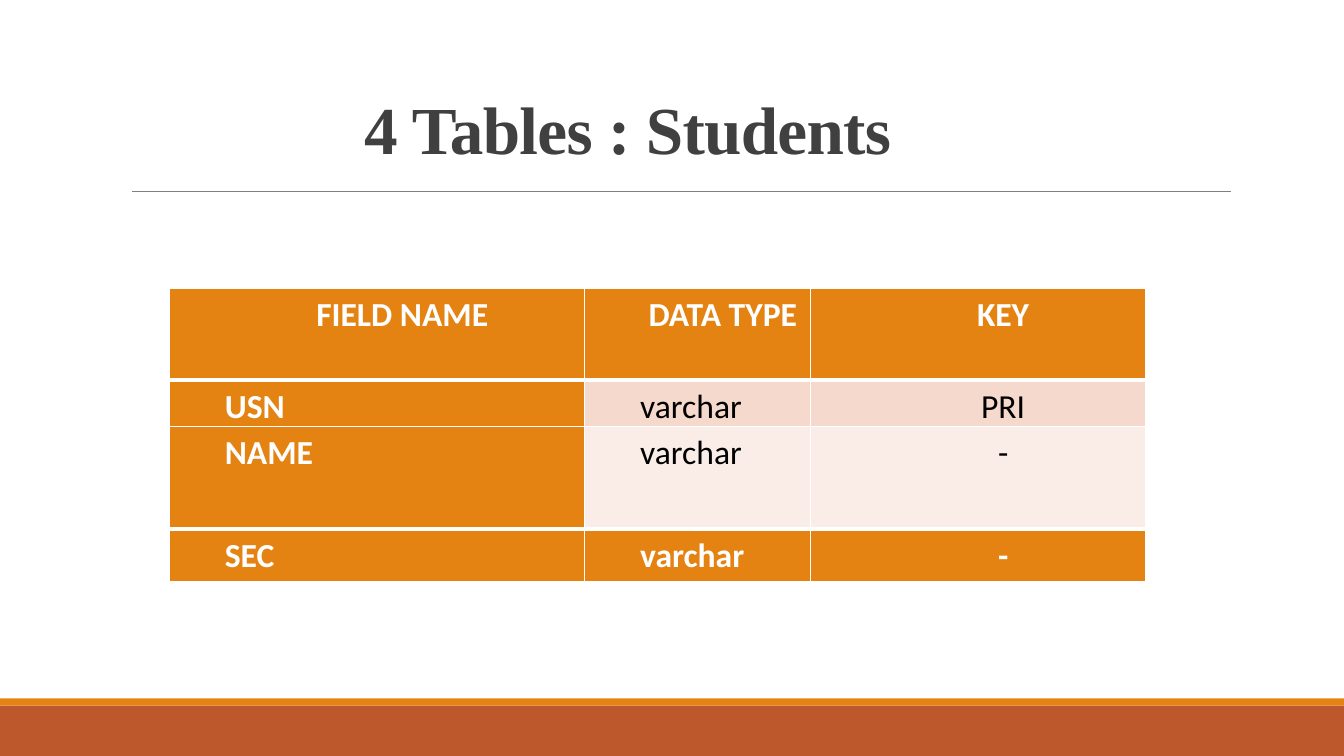
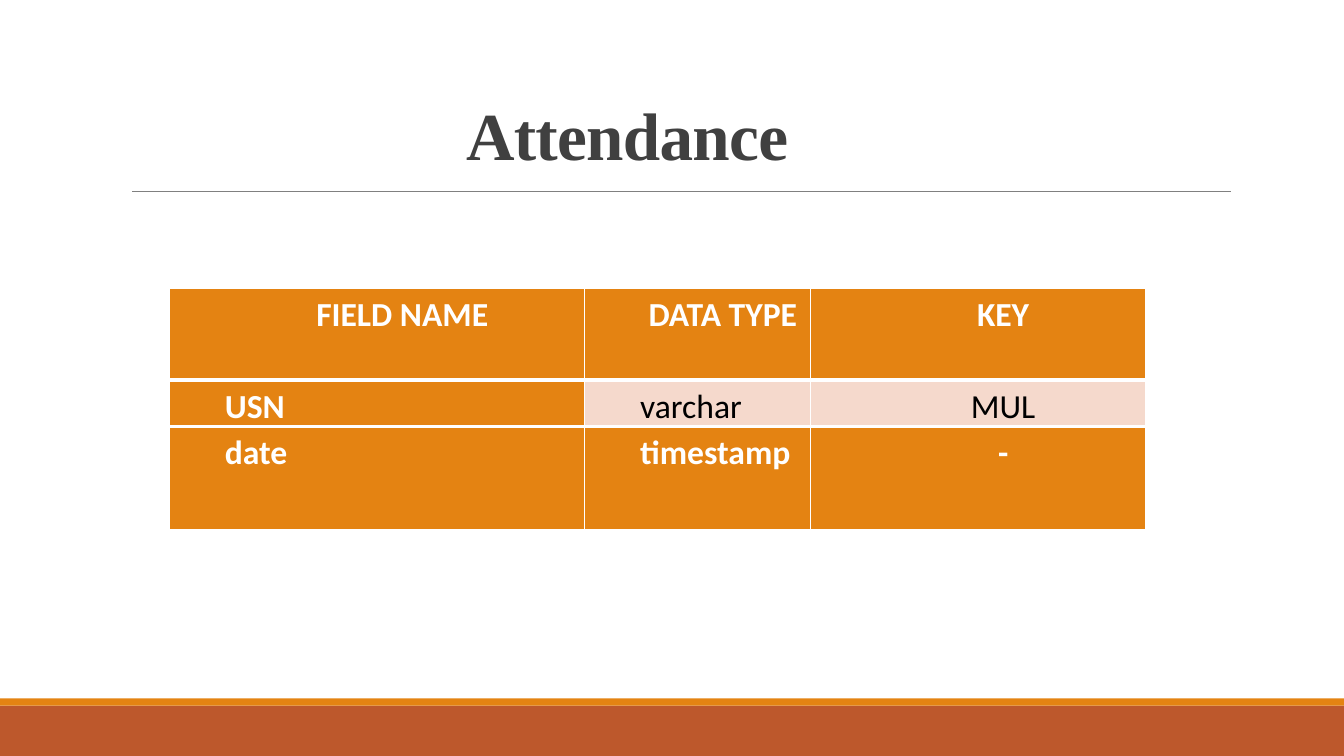
from lxml import etree
from pptx import Presentation
from pptx import util as u
from pptx.dml.color import RGBColor
from pptx.enum import shapes, text
from pptx.oxml import ns

HEADINGS = ("FIELD NAME", "DATA TYPE", "KEY")
SLIDES = [
    {
        "title": "4 Tables : Students",
        "title_box": (0.58, 0.42, 11.29, 1.3),
        "fields": [("USN", "varchar", "PRI"), ("NAME", "varchar", "-"), ("SEC", "varchar", "-")],
    },
    {
        "title": "Attendance",
        "title_box": (2.03, 0.46, 8.38, 1.32),
        "fields": [("USN", "varchar", "MUL"), ("date", "timestamp", "-")],
    },
]

COLORS = {
    "band": "BD582C", "accent": "E48312", "rule": "808080", "title": "404040",
    "white": "FFFFFF", "black": "000000", "odd_row": "F5D9CC", "even_row": "FAEDE7",
}
SLIDE_WIDTH, SLIDE_HEIGHT = 13.33, 7.5
BANDS = [(7, 0.5, "band"), (6.93, 0.07, "accent")]
RULE_LEFT, RULE_RIGHT, RULE_TOP = 1.31, 12.21, 1.9
TABLE_LEFT, TABLE_TOP = 1.68, 2.86
COLUMN_WIDTHS = (4.12, 2.24, 3.32)
ROW_HEIGHTS = (0.91, 0.44, 1.02, 0.52)
KEY_COLUMN = len(HEADINGS) - 1
THIN, THICK = 1, 3


def color(name):
    """Return a palette colour."""
    return RGBColor.from_string(COLORS[name])


def add_run(paragraph, words, font_name, size, color_name, bold):
    """Add one formatted run and return it."""
    run = paragraph.add_run()
    run.text = words
    run.font.name = font_name
    run.font.size = u.Pt(size)
    run.font.bold = bold
    run.font.color.rgb = color(color_name)
    return run


def add_frame(slide):
    """Draw the bottom bands and the rule under the title."""
    for top, height, color_name in BANDS:
        band = slide.shapes.add_shape(
            shapes.MSO_SHAPE.RECTANGLE, 0, u.Inches(top), u.Inches(SLIDE_WIDTH), u.Inches(height))
        band.shadow.inherit = False
        band.fill.solid()
        band.fill.fore_color.rgb = color(color_name)
        band.line.fill.background()
    rule = slide.shapes.add_connector(
        shapes.MSO_CONNECTOR.STRAIGHT, u.Inches(RULE_LEFT), u.Inches(RULE_TOP),
        u.Inches(RULE_RIGHT), u.Inches(RULE_TOP))
    rule.line.color.rgb = color("rule")
    rule.line.width = u.Pt(0.5)
    etree.SubElement(rule._element.spPr, ns.qn("a:effectLst"))


def add_title(slide, words, box):
    """Add the centred title, resting on the bottom of its box."""
    frame = slide.shapes.add_textbox(*map(u.Inches, box)).text_frame
    frame.word_wrap = True
    frame.vertical_anchor = text.MSO_ANCHOR.BOTTOM
    paragraph = frame.paragraphs[0]
    paragraph.alignment = text.PP_ALIGN.CENTER
    paragraph.line_spacing = 0.85
    run = add_run(paragraph, words, "Times New Roman", 48, "title", True)
    run.font._element.set("spc", "-50")


def set_borders(cell, top, bottom):
    """Give a cell white borders; top and bottom widths are in points."""
    properties = cell._tc.get_or_add_tcPr()
    for side, width in (("L", THIN), ("R", THIN), ("T", top), ("B", bottom)):
        line = etree.SubElement(properties, ns.qn(f"a:ln{side}"), w=str(u.Pt(width)))
        fill = etree.SubElement(line, ns.qn("a:solidFill"))
        etree.SubElement(fill, ns.qn("a:srgbClr"), val=COLORS["white"])


def fill_cell(cell, words, row, column, last_row):
    """Style a cell by its place: header, first column and last row stand out."""
    strong = row in (0, last_row) or column == 0
    set_borders(cell, THICK if row in (1, last_row) else THIN,
                THICK if row in (0, last_row - 1) else THIN)
    cell.fill.solid()
    cell.fill.fore_color.rgb = color(
        "accent" if strong else "odd_row" if row % 2 else "even_row")
    cell.margin_left = cell.margin_right = u.Inches(0.05)
    cell.margin_top = cell.margin_bottom = 0
    paragraph = cell.text_frame.paragraphs[0]
    centred = row == 0 or column == KEY_COLUMN
    paragraph.alignment = text.PP_ALIGN.CENTER if centred else text.PP_ALIGN.LEFT
    paragraph.line_spacing = 1.15
    paragraph.space_after = u.Pt(10 if column == KEY_COLUMN else 0)
    indent = paragraph._p.get_or_add_pPr()
    indent.set("marL", str(u.Inches(0.5)))
    indent.set("indent", "0")
    add_run(paragraph, words, "Calibri", 24, "white" if strong else "black", strong)


def add_field_table(slide, fields):
    """Add the table that describes the database fields."""
    rows = [HEADINGS, *fields]
    heights = ROW_HEIGHTS[:len(rows)]
    table = slide.shapes.add_table(
        len(rows), len(HEADINGS), u.Inches(TABLE_LEFT), u.Inches(TABLE_TOP),
        u.Inches(sum(COLUMN_WIDTHS)), u.Inches(sum(heights))).table
    table.first_row = table.horz_banding = False
    for column, width in zip(table.columns, COLUMN_WIDTHS):
        column.width = u.Inches(width)
    for row, height in zip(table.rows, heights):
        row.height = u.Inches(height)
    for row, values in enumerate(rows):
        for column, words in enumerate(values):
            fill_cell(table.cell(row, column), words, row, column, len(rows) - 1)


def build():
    """Build and save the presentation."""
    presentation = Presentation()
    presentation.slide_width = u.Inches(SLIDE_WIDTH)
    presentation.slide_height = u.Inches(SLIDE_HEIGHT)
    for content in SLIDES:
        slide = presentation.slides.add_slide(presentation.slide_layouts[6])
        add_frame(slide)
        add_title(slide, content["title"], content["title_box"])
        add_field_table(slide, content["fields"])
    presentation.save("out.pptx")


build()
